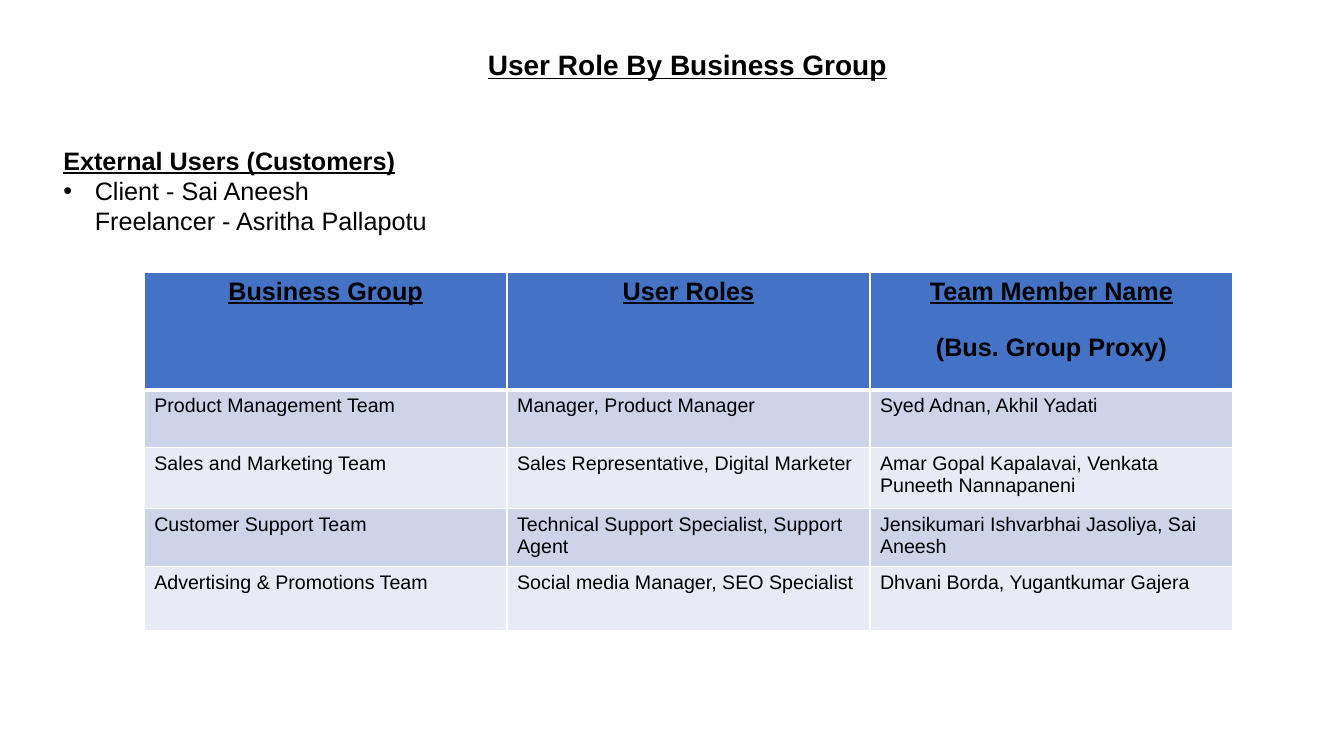
from lxml.etree import SubElement
from pptx import Presentation
from pptx.dml.color import RGBColor
from pptx.enum.text import MSO_ANCHOR as Anchor, MSO_AUTO_SIZE as AutoSize, PP_ALIGN as Align
from pptx.oxml.ns import qn
from pptx.util import Pt

HEADING = {"bold": True, "underline": True}
PLAIN = {"bold": False, "underline": False}
HEADER_FILL, BAND_FILLS = "4472C4", ("CDD4EA", "E8EBF5")

EXTERNAL_USERS = ["Client - Sai Aneesh", "Freelancer - Asritha Pallapotu"]
COLUMN_HEADS = [["Business Group"], ["User Roles"], ["Team Member Name", "(Bus. Group Proxy)"]]
TEAMS = [
    ("Product Management Team", "Manager, Product Manager", "Syed Adnan, Akhil Yadati"),
    ("Sales and Marketing Team", "Sales Representative, Digital Marketer",
     "Amar Gopal Kapalavai, Venkata Puneeth Nannapaneni"),
    ("Customer Support Team", "Technical Support Specialist, Support Agent",
     "Jensikumari Ishvarbhai Jasoliya, Sai Aneesh"),
    ("Advertising & Promotions Team", "Social media Manager, SEO Specialist",
     "Dhvani Borda, Yugantkumar Gajera"),
]
ROW_HEIGHTS = [84, 41.5, 43.5, 41.5, 45.5]
COLUMN_WIDTH = 259.2


def colour(code):
    return RGBColor.from_string(code)


def assign(target, values):
    for key, value in values.items():
        setattr(target, key, value)


class RoleSlide:
    font_name = "Arial"
    ink = "000000"
    rule = "FFFFFF"

    def __init__(self, deck):
        self.slide = deck.slides.add_slide(deck.slide_layouts[1])

    def add_text(self, paragraph, text, size, look, align=Align.LEFT, before=0):
        assign(paragraph, {"alignment": align, "space_before": Pt(before), "line_spacing": 1.0})
        for number, line in enumerate(text.split("\n")):
            if number:
                paragraph.add_line_break()
            run = paragraph.add_run()
            run.text = line
            assign(run.font, {"name": self.font_name, "size": Pt(size), **look})
            run.font.color.rgb = colour(self.ink)

    def place(self, holder, left, top, width, height):
        assign(holder, {"left": Pt(left), "top": Pt(top), "width": Pt(width), "height": Pt(height)})
        assign(holder.text_frame, {"word_wrap": True, "auto_size": AutoSize.NONE,
                                   "vertical_anchor": Anchor.TOP})
        return holder.text_frame

    def title(self, text, *area):
        frame = self.place(self.slide.shapes.title, *area)
        self.add_text(frame.paragraphs[0], text, 20, HEADING, Align.CENTER)

    def bullet(self, paragraph, mark, indent):
        properties = paragraph._p.get_or_add_pPr()
        properties.set("marL", str(Pt(indent)))
        properties.set("indent", str(-Pt(indent)))
        if mark:
            SubElement(properties, qn("a:buFont"), typeface=self.font_name)
            SubElement(properties, qn("a:buChar"), char=mark)
        else:
            SubElement(properties, qn("a:buNone"))

    def user_list(self, heading, lines, *area):
        frame = self.place(self.slide.placeholders[1], *area)
        head = frame.paragraphs[0]
        self.add_text(head, heading, 18, HEADING)
        self.bullet(head, None, 0)
        entry = frame.add_paragraph()
        self.add_text(entry, "\n".join(lines), 18, PLAIN)
        self.bullet(entry, "•", 22.5)

    def style_cell(self, cell, fill, bottom=1, top=1):
        properties = cell._tc.get_or_add_tcPr()
        for side, width in {"L": 1, "R": 1, "T": top, "B": bottom}.items():
            line = SubElement(properties, qn("a:ln" + side), w=str(Pt(width)))
            SubElement(SubElement(line, qn("a:solidFill")), qn("a:srgbClr"), val=self.rule)
        cell.fill.solid()
        cell.fill.fore_color.rgb = colour(fill)

    def role_table(self, left, top):
        columns = len(COLUMN_HEADS)
        table = self.slide.shapes.add_table(
            len(ROW_HEIGHTS), columns, Pt(left), Pt(top),
            Pt(COLUMN_WIDTH * columns), Pt(sum(ROW_HEIGHTS))).table
        for row, height in zip(table.rows, ROW_HEIGHTS):
            row.height = Pt(height)
        for column, head in enumerate(COLUMN_HEADS):
            table.columns[column].width = Pt(COLUMN_WIDTH)
            cell = table.cell(0, column)
            self.style_cell(cell, HEADER_FILL, bottom=3)
            frame = cell.text_frame
            self.add_text(frame.paragraphs[0], head[0], 18, HEADING, Align.CENTER)
            for note in head[1:]:
                self.add_text(frame.add_paragraph(), note, 18, {"bold": True, "underline": False},
                              Align.CENTER, before=20)
        for row, team in enumerate(TEAMS, 1):
            for column, text in enumerate(team):
                cell = table.cell(row, column)
                self.style_cell(cell, BAND_FILLS[(row - 1) % 2], top=3 if row == 1 else 1)
                self.add_text(cell.text_frame.paragraphs[0], text, 14, PLAIN)


def main():
    deck = Presentation()
    assign(deck, {"slide_width": Pt(960), "slide_height": Pt(540)})
    roles = RoleSlide(deck)
    roles.title("User Role By Business Group", 38, 30.4, 906, 32)
    roles.user_list("External Users (Customers)", EXTERNAL_USERS, 38, 100, 906, 76)
    roles.role_table(103, 194.4)
    deck.save("out.pptx")


if __name__ == "__main__":
    main()
